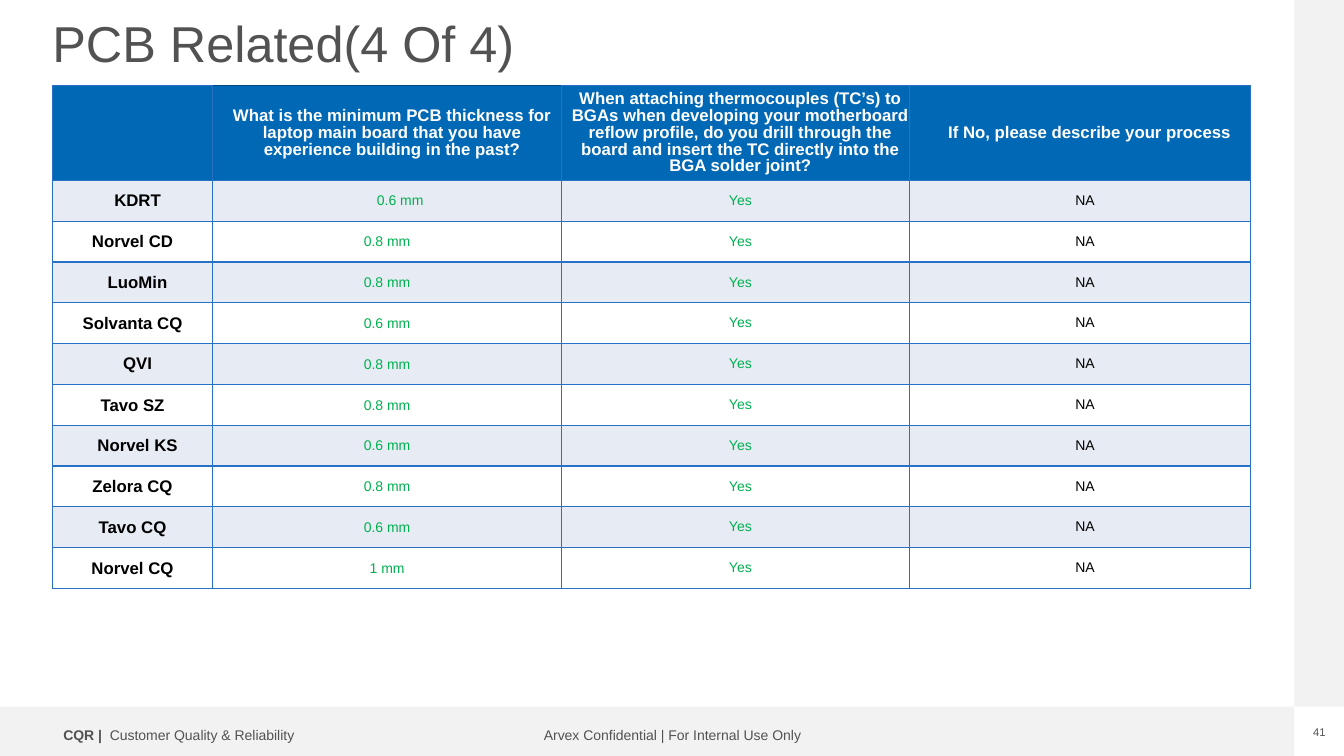
import lxml.etree
import pptx
import pptx.dml.color
import pptx.enum.shapes
import pptx.enum.text
import pptx.oxml.ns
import pptx.util

BLUE = pptx.dml.color.RGBColor(0x00, 0x68, 0xB5)
DARK_BLUE = pptx.dml.color.RGBColor(0x00, 0x4A, 0x86)
RULE_BLUE = pptx.dml.color.RGBColor(0x28, 0x72, 0xC5)
BAND = pptx.dml.color.RGBColor(0xE7, 0xEB, 0xF3)
PALE_GREY = pptx.dml.color.RGBColor(0xF2, 0xF2, 0xF2)
TEXT_GREY = pptx.dml.color.RGBColor(0x52, 0x52, 0x52)
GREEN = pptx.dml.color.RGBColor(0x00, 0xB0, 0x50)
WHITE = pptx.dml.color.RGBColor(0xFF, 0xFF, 0xFF)
BLACK = pptx.dml.color.RGBColor(0x00, 0x00, 0x00)

LEFT = pptx.enum.text.PP_ALIGN.LEFT
CENTER = pptx.enum.text.PP_ALIGN.CENTER
TOP = pptx.enum.text.MSO_ANCHOR.TOP
MIDDLE = pptx.enum.text.MSO_ANCHOR.MIDDLE

# The grid has ten columns and ten rows to the inch.
COLUMNS, ROWS = 133.33, 75

# Cell margins in grid steps: left, top, right, bottom.
NO_MARGIN = (0, 0, 0, 0)
INDENTED = (1, 0, 0, 0)
TIGHT = (0.1, 0.1, 0.1, 0)
SHIFTED_HEADING = (1.9, 0, 0, 0)
SHIFTED_THICKNESS = (2.6, 0, 0, 0)

QUESTIONS = [
    "",
    "What is the minimum PCB thickness for laptop main board that you have "
    "experience building in the past?",
    "When attaching thermocouples (TC’s) to BGAs when developing your motherboard "
    "reflow profile, do you drill through the board and insert the TC directly "
    "into the BGA solder joint?",
    "If No, please describe your process",
]
# Factory, margins of its name, minimum thickness
FACTORIES = [
    ("KDRT", INDENTED, "0.6 mm"),
    ("Norvel CD", TIGHT, "0.8 mm"),
    ("LuoMin", INDENTED, "0.8 mm"),
    ("Solvanta CQ", TIGHT, "0.6 mm"),
    ("QVI", INDENTED, "0.8 mm"),
    ("Tavo SZ", TIGHT, "0.8 mm"),
    ("Norvel KS", INDENTED, "0.6 mm"),
    ("Zelora CQ", TIGHT, "0.8 mm"),
    ("Tavo CQ", TIGHT, "0.6 mm"),
    ("Norvel CQ", TIGHT, "1 mm"),
]


def grid(steps):
    return pptx.util.Inches(steps / 10)


def assign(target, values):
    for name, value in values.items():
        setattr(target, name, value)


def margins(steps):
    sides = ("margin_left", "margin_top", "margin_right", "margin_bottom")
    return dict(zip(sides, map(grid, steps)))


class SurveySlide:
    def __init__(self, deck):
        self.font = "Arial"
        self.rule_width = pptx.util.Pt(1)
        self.slide = deck.slides.add_slide(deck.slide_layouts[5])

    def add_words(self, frame, runs, size, color, align=CENTER, spacing=1.0):
        """Fill the first paragraph with (words, bold) runs."""
        paragraph = frame.paragraphs[0]
        assign(paragraph, {"alignment": align, "line_spacing": spacing})
        for words, bold in runs:
            run = paragraph.add_run()
            run.text = words
            assign(run.font, {"name": self.font, "size": pptx.util.Pt(size), "bold": bold})
            run.font.color.rgb = color

    def title(self, words, *box):
        heading = self.slide.shapes.title
        assign(heading, dict(zip(("left", "top", "width", "height"), map(grid, box))))
        assign(heading.text_frame, {
            "vertical_anchor": TOP, "word_wrap": True,
            "auto_size": pptx.enum.text.MSO_AUTO_SIZE.NONE, **margins(NO_MARGIN)})
        self.add_words(heading.text_frame, [(words, False)], 36, TEXT_GREY, LEFT, 0.9)

    def band(self, *box):
        band = self.slide.shapes.add_shape(
            pptx.enum.shapes.MSO_SHAPE.RECTANGLE, *map(grid, box))
        band.shadow.inherit = False
        band.fill.solid()
        band.fill.fore_color.rgb = PALE_GREY
        band.line.fill.background()

    def label(self, runs, *box, size=10, align=CENTER, inset=(1, 0.5, 1, 0.5), spacing=0.9):
        frame = self.slide.shapes.add_textbox(*map(grid, box)).text_frame
        assign(frame, {"word_wrap": False, **margins(inset)})
        self.add_words(frame, runs, size, TEXT_GREY, align, spacing)

    def table(self, left, top, widths, heights):
        table = self.slide.shapes.add_table(
            len(heights), len(widths), *map(grid, (left, top, sum(widths), sum(heights)))).table
        assign(table, {"first_row": False, "horz_banding": False})
        for column, width in zip(table.columns, widths):
            column.width = grid(width)
        for row, height in zip(table.rows, heights):
            row.height = grid(height)
        return table

    def cell(self, cell, words, fill, color, size, bold=False, inset=INDENTED,
             spacing=1.0, top_rule=RULE_BLUE):
        assign(cell, {"vertical_anchor": MIDDLE, **margins(inset)})
        cell.fill.solid()
        cell.fill.fore_color.rgb = fill
        self.borders(cell, top_rule)
        if words:
            self.add_words(cell.text_frame, [(words, bold)], size, color, spacing=spacing)

    def borders(self, cell, top_rule):
        properties = cell._tc.get_or_add_tcPr()
        rules = {"a:lnL": RULE_BLUE, "a:lnR": RULE_BLUE, "a:lnT": top_rule, "a:lnB": RULE_BLUE}
        for position, (side, color) in enumerate(rules.items()):
            line = lxml.etree.Element(pptx.oxml.ns.qn(side), w=str(self.rule_width))
            paint = lxml.etree.SubElement(line, pptx.oxml.ns.qn("a:solidFill"))
            lxml.etree.SubElement(paint, pptx.oxml.ns.qn("a:srgbClr"), val=str(color))
            properties.insert(position, line)


def main():
    deck = pptx.Presentation()
    assign(deck, {"slide_width": grid(COLUMNS), "slide_height": grid(ROWS)})
    survey = SurveySlide(deck)

    footer_top, side_left = 70.1, 128.4
    survey.band(0, footer_top, side_left, ROWS - footer_top)
    survey.band(side_left, 0, COLUMNS - side_left, footer_top)
    survey.label([("Arvex Confidential | For Internal Use Only", False)], 52.9, 71.8, 27.6, 2.5)
    survey.label([("CQR | ", True), (" Customer Quality & Reliability", False)],
                 5.3, 71.8, 25.4, 2.5, align=LEFT)
    survey.label([("41", False)], 130.2, 72, 1.4, 1.3, size=8, inset=NO_MARGIN, spacing=1.0)
    survey.title("PCB Related(4 Of 4)", 5.2, 1.9, 120.4, 10.4)

    header_height, table_height = 9.4, 49.9
    row_height = (table_height - header_height) / len(FACTORIES)
    answers = survey.table(5.2, 8.5, [15.9, 34.6, 34.5, 33.9],
                           [header_height] + [row_height] * len(FACTORIES))

    for column, question in enumerate(QUESTIONS):
        survey.cell(answers.cell(0, column), question, BLUE, WHITE, 12, bold=True, spacing=0.9,
                    inset=SHIFTED_HEADING if column == 3 else INDENTED,
                    top_rule=DARK_BLUE if column == 1 else RULE_BLUE)

    for row, (factory, name_inset, thickness) in enumerate(FACTORIES, start=1):
        fill = BAND if row % 2 else WHITE
        thickness_inset = SHIFTED_THICKNESS if row == 1 else TIGHT
        survey.cell(answers.cell(row, 0), factory, fill, BLACK, 12, bold=True, inset=name_inset)
        survey.cell(answers.cell(row, 1), thickness, fill, GREEN, 10, inset=thickness_inset)
        survey.cell(answers.cell(row, 2), "Yes", fill, GREEN, 10)
        survey.cell(answers.cell(row, 3), "NA", fill, BLACK, 10)

    deck.save("out.pptx")


if __name__ == "__main__":
    main()
